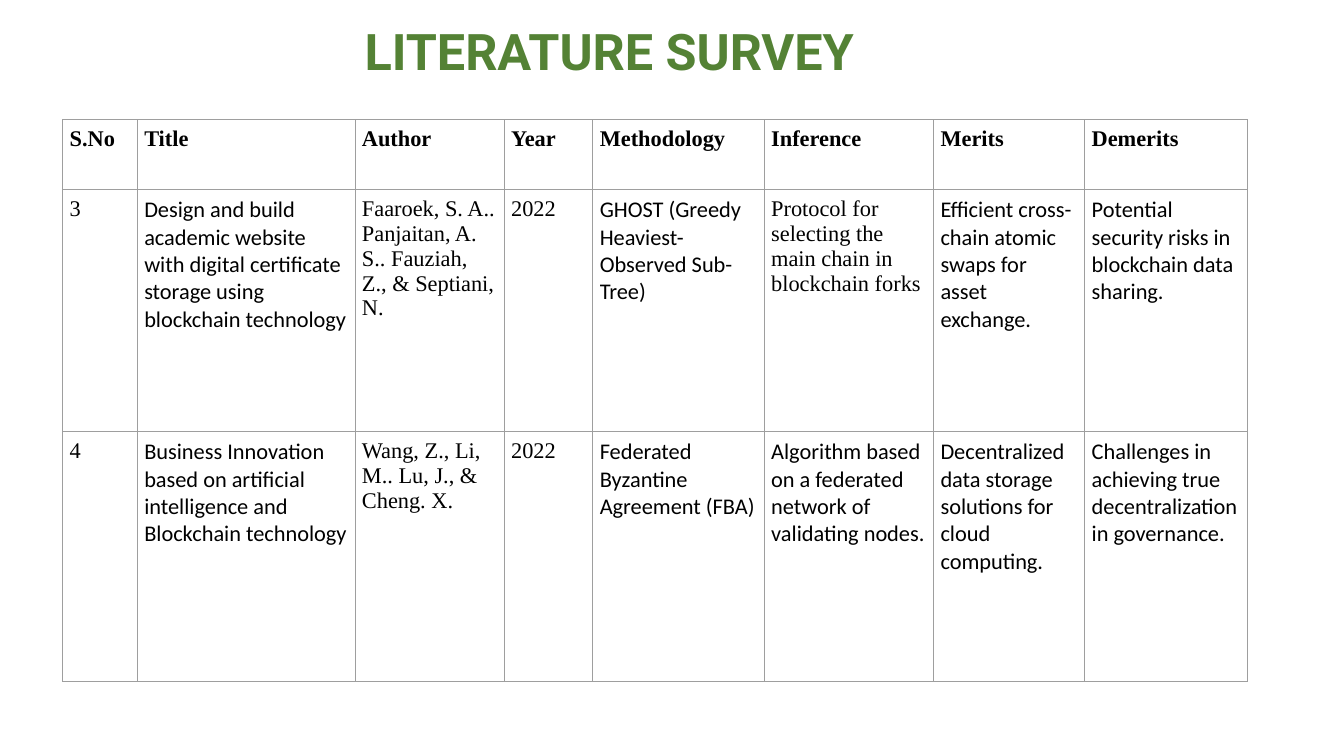
"""Builds a literature survey slide with a bordered table of papers."""
from dataclasses import dataclass

import lxml.etree
import pptx
import pptx.dml.color
import pptx.enum.text
import pptx.oxml.ns
import pptx.util

Pt = pptx.util.Pt


@dataclass(frozen=True)
class Theme:
    title_color: str = "548235"
    text_color: str = "000000"
    border_color: str = "9E9E9E"
    title_font: str = "Roboto"
    serif: str = "Times New Roman"
    sans: str = "Calibri"
    title_size: float = 36
    body_size: float = 16
    border_width: float = 0.6
    cell_margin: float = 5


@dataclass(frozen=True)
class Entry:
    text: str
    font: str
    bold: bool = False


THEME = Theme()
COLUMN_WIDTHS = (53.28, 155.52, 106.56, 63.36, 122.4, 120.96, 108, 115.92)
ROW_HEIGHTS = (49.7, 172.8, 178.6)


def serif(text: str) -> Entry:
    return Entry(text, THEME.serif)


def sans(text: str) -> Entry:
    return Entry(text, THEME.sans)


HEADINGS = [
    Entry(heading, THEME.serif, bold=True)
    for heading in ("S.No", "Title", "Author", "Year", "Methodology",
                    "Inference", "Merits", "Demerits")
]
PAPERS = [
    [
        serif("3"),
        sans("Design and build academic website with digital certificate "
             "storage using blockchain technology"),
        serif("Faaroek, S. A.. Panjaitan, A. S.. Fauziah, Z., & Septiani, N."),
        serif("2022"),
        sans("GHOST (Greedy Heaviest-Observed Sub-Tree)"),
        serif("Protocol for selecting the main chain in blockchain forks"),
        sans("Efficient cross-chain atomic swaps for asset \nexchange."),
        sans("Potential security risks in blockchain data sharing."),
    ],
    [
        serif("4"),
        sans("Business Innovation based on artificial intelligence and "
             "Blockchain technology"),
        serif("Wang, Z., Li, M.. Lu, J., & Cheng. X."),
        serif("2022"),
        sans("Federated Byzantine Agreement (FBA)"),
        sans("Algorithm based on a federated network of validating nodes."),
        sans("Decentralized data storage solutions for cloud \ncomputing."),
        sans("Challenges in achieving true decentralization in governance."),
    ],
]


def write(frame, text: str, *, font: str, size: float, color: str,
          bold: bool = False) -> None:
    frame.text = text
    frame.word_wrap = True
    for paragraph in frame.paragraphs:
        for run in paragraph.runs:
            run.font.name = font
            run.font.size = Pt(size)
            run.font.bold = bold
            run.font.color.rgb = pptx.dml.color.RGBColor.from_string(color)


def outline(cell) -> None:
    qn = pptx.oxml.ns.qn
    properties = cell._tc.get_or_add_tcPr()
    for side in ("a:lnL", "a:lnR", "a:lnT", "a:lnB"):
        line = lxml.etree.SubElement(properties, qn(side),
                                     w=str(int(Pt(THEME.border_width))))
        fill = lxml.etree.SubElement(line, qn("a:solidFill"))
        lxml.etree.SubElement(fill, qn("a:srgbClr"), val=THEME.border_color)


def add_survey(slide, rows: list[list[Entry]]) -> None:
    survey = slide.shapes.add_table(
        len(rows), len(COLUMN_WIDTHS), Pt(44.8), Pt(85.6),
        Pt(sum(COLUMN_WIDTHS)), Pt(sum(ROW_HEIGHTS))).table
    survey.first_row = survey.horz_banding = False
    for column, width in zip(survey.columns, COLUMN_WIDTHS):
        column.width = Pt(width)
    for row, height, entries in zip(survey.rows, ROW_HEIGHTS, rows):
        row.height = Pt(height)
        for cell, entry in zip(row.cells, entries):
            cell.margin_left = cell.margin_right = Pt(THEME.cell_margin)
            cell.margin_top = cell.margin_bottom = Pt(THEME.cell_margin)
            outline(cell)
            cell.fill.background()
            write(cell.text_frame, entry.text, font=entry.font,
                  size=THEME.body_size, color=THEME.text_color,
                  bold=entry.bold)


def add_title(slide, text: str) -> None:
    frame = slide.shapes.add_textbox(
        Pt(235.4), Pt(10.8), Pt(473.8), Pt(51)).text_frame
    frame.margin_left = Pt(25)
    frame.vertical_anchor = pptx.enum.text.MSO_ANCHOR.MIDDLE
    frame.auto_size = pptx.enum.text.MSO_AUTO_SIZE.SHAPE_TO_FIT_TEXT
    write(frame, text, font=THEME.title_font, size=THEME.title_size,
          color=THEME.title_color, bold=True)


def main() -> None:
    deck = pptx.Presentation()
    deck.slide_width, deck.slide_height = Pt(960), Pt(540)
    slide = deck.slides.add_slide(deck.slide_layouts[6])
    add_survey(slide, [HEADINGS, *PAPERS])
    add_title(slide, "LITERATURE SURVEY")
    deck.save("out.pptx")


if __name__ == "__main__":
    main()
